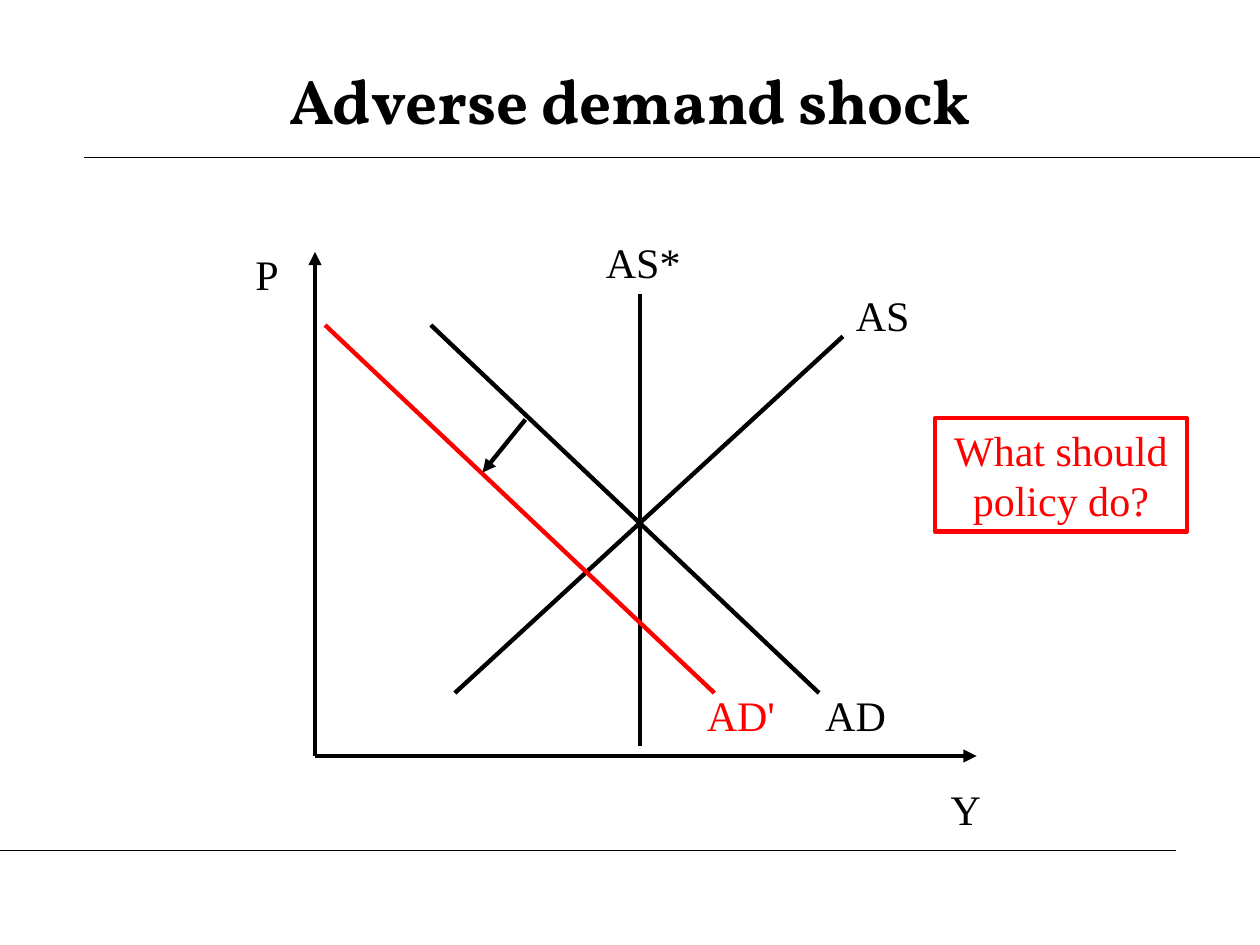
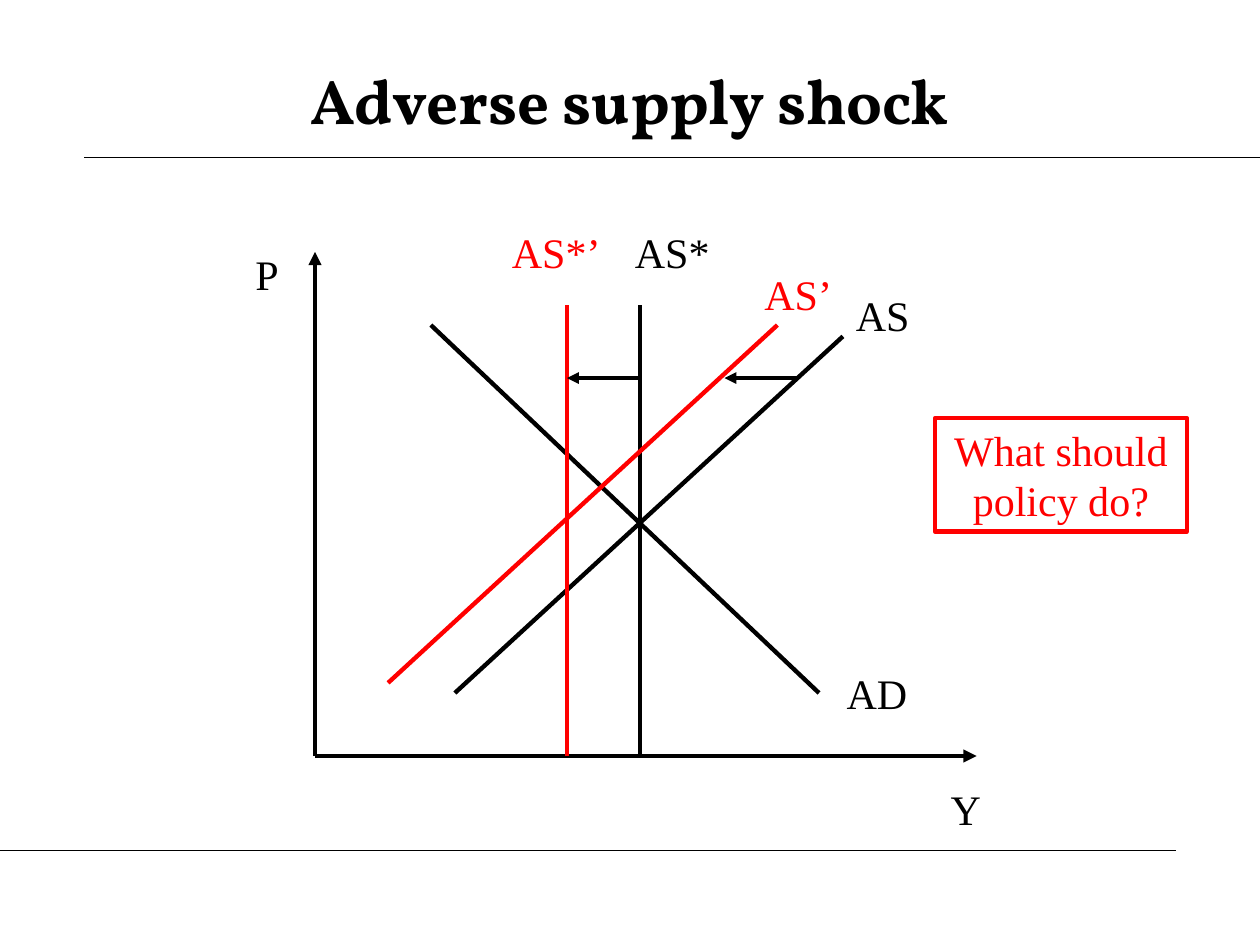
from lxml import etree
from pptx import Presentation
from pptx.dml.color import RGBColor
from pptx.enum.shapes import MSO_CONNECTOR, MSO_SHAPE
from pptx.enum.text import MSO_ANCHOR, PP_ALIGN
from pptx.oxml.ns import qn
from pptx.util import Inches, Pt

BLACK = RGBColor(0x00, 0x00, 0x00)
RED = RGBColor(0xFF, 0x00, 0x00)
BODY_FONT = "Times New Roman"
TITLE_FONT = "Vollkorn"

RULES = [
    (0.67, 1.25, 10, 1.25),
    (0, 6.75, 9.33, 6.75),
    (1.25, 1.25, 10, 1.25),
    (0, 6.75, 7.08, 6.75),
]
AXES = [(2.5, 6, 7.75, 6), (2.5, 6, 2.5, 2)]
CURVES = [(3.61, 5.5, 6.69, 2.67), (6.5, 5.5, 3.42, 2.58)]
LABELS = [
    ("Y", 7.33, 6.17, 0.67, BLACK),
    ("P", 1.83, 1.92, 0.58, BLACK),
    ("AS", 6.67, 2.25, 0.67, BLACK),
]
SHOCKS = [
    {
        "title": "Adverse demand shock",
        "curves": [
            (5.08, 5.92, 5.08, 2.33, BLACK),
            (5.67, 5.5, 2.58, 2.58, RED),
        ],
        "shifts": [(4.17, 3.33, 3.83, 3.75)],
        "shift_width": 2.5,
        "labels": [
            ("AD", 6.33, 5.42, 0.92, BLACK),
            ("AS*", 4.69, 1.83, 0.83, BLACK),
            ("AD'", 5.42, 5.42, 0.92, RED),
        ],
    },
    {
        "title": "Adverse supply shock",
        "curves": [
            (5.08, 6, 5.08, 2.42, BLACK),
            (4.5, 6, 4.5, 2.42, RED),
            (3.08, 5.42, 6.17, 2.58, RED),
        ],
        "shifts": [(5.08, 3, 4.5, 3), (6.33, 3, 5.75, 3)],
        "shift_width": 2.25,
        "labels": [
            ("AD", 6.5, 5.25, 0.92, BLACK),
            ("AS*", 4.92, 1.75, 0.83, BLACK),
            ("AS’", 5.92, 2.08, 0.83, RED),
            ("AS*’", 3.83, 1.75, 1.17, RED),
        ],
    },
]


def add_line(s, x1, y1, x2, y2, color=BLACK, width=2.5, arrow=False):
    line = s.shapes.add_connector(
        MSO_CONNECTOR.STRAIGHT, Inches(x1), Inches(y1), Inches(x2), Inches(y2))
    line.line.color.rgb = color
    line.line.width = Pt(width)
    if arrow:
        ln = line.line._get_or_add_ln()
        etree.SubElement(ln, qn("a:tailEnd"), type="triangle")
    etree.SubElement(line._element.spPr, qn("a:effectLst"))


def set_text(sp, text, font=BODY_FONT, size=24, color=BLACK, bold=False,
             anchor=MSO_ANCHOR.TOP, spacing=Pt(28.8)):
    tf = sp.text_frame
    tf.word_wrap = True
    tf.vertical_anchor = anchor
    p = tf.paragraphs[0]
    p.alignment = PP_ALIGN.CENTER
    p.line_spacing = spacing
    r = p.add_run()
    r.text = text
    r.font.name = font
    r.font.size = Pt(size)
    r.font.bold = bold
    r.font.color.rgb = color


prs = Presentation()
prs.slide_width = Inches(10)
prs.slide_height = Inches(7.5)

for shock in SHOCKS:
    s = prs.slides.add_slide(prs.slide_layouts[5])
    title = s.shapes.title
    title.left, title.top = Inches(0.5), Inches(0.33)
    title.width, title.height = Inches(9), Inches(0.92)
    set_text(title, shock["title"], font=TITLE_FONT, size=36, bold=True,
             anchor=MSO_ANCHOR.MIDDLE, spacing=1.0)

    for rule in RULES:
        add_line(s, *rule, width=0.75)
    for axis in AXES:
        add_line(s, *axis, arrow=True)
    for curve in CURVES + shock["curves"]:
        add_line(s, *curve)
    for shift in shock["shifts"]:
        add_line(s, *shift, width=shock["shift_width"], arrow=True)

    for text, x, y, w, color in LABELS + shock["labels"]:
        sp = s.shapes.add_textbox(Inches(x), Inches(y), Inches(w), Inches(0.5))
        set_text(sp, text, color=color)

    question = s.shapes.add_shape(
        MSO_SHAPE.RECTANGLE, Inches(7.42), Inches(3.32), Inches(2), Inches(0.9))
    question.shadow.inherit = False
    question.fill.background()
    question.line.color.rgb = RED
    question.line.width = Pt(2.5)
    set_text(question, "What should policy do?", color=RED)

prs.save("out.pptx")
